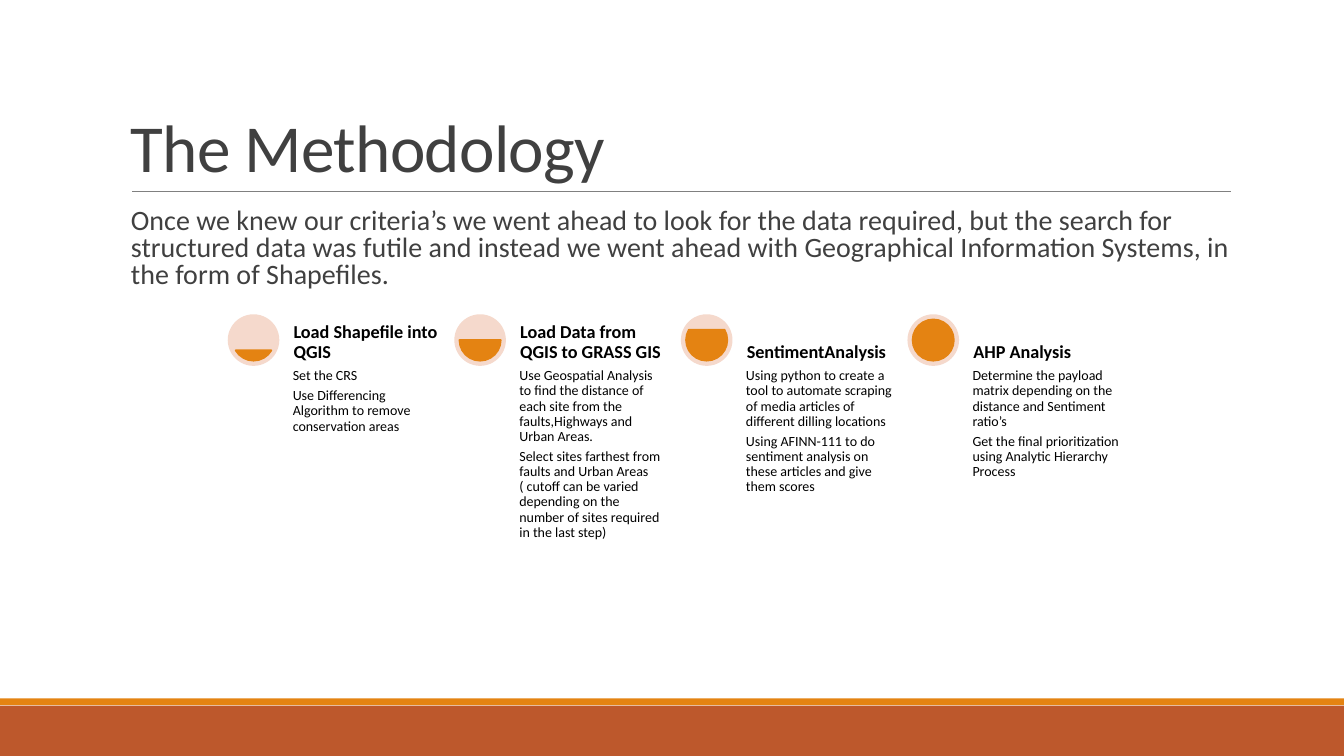
"""Builds the methodology slide with four progress steps."""
import math

from lxml import etree
from pptx import Presentation
from pptx import util as u
from pptx.dml.color import RGBColor
from pptx.enum import shapes, text
from pptx.oxml.ns import qn

COLOURS = {
    "rust": "BD582C", "orange": "E48312", "blush": "F5D9CC",
    "rule": "808080", "grey": "404040", "black": "000000",
}
FONT = "Calibri"
INTRO = (
    "Once we knew our criteria’s we went ahead to look for the data required, "
    "but the search for structured data was futile and instead we went ahead with "
    "Geographical Information Systems, in the form of Shapefiles."
)
STEPS = [
    ("Load Shapefile into QGIS", [
        "Set the CRS",
        "Use Differencing Algorithm to remove conservation areas"]),
    ("Load Data from QGIS to GRASS GIS", [
        "Use Geospatial Analysis to find the distance of each site from the "
        "faults,Highways and Urban Areas.",
        "Select sites farthest from faults and Urban Areas ( cutoff can be varied "
        "depending on the number of sites required in the last step)"]),
    ("SentimentAnalysis", [
        "Using python to create a tool to automate scraping of media articles of "
        "different dilling locations",
        "Using AFINN-111 to do sentiment analysis on these articles and give them scores"]),
    ("AHP Analysis", [
        "Determine the payload matrix depending on the distance and Sentiment ratio’s",
        "Get the final prioritization using Analytic Hierarchy Process"]),
]
STEP_LEFT, STEP_TOP, STEP_PITCH = 5.74, 7.92, 5.71
DISC, RING = 1.3, 0.13
TEXT_OFFSET, TEXT_WIDTH, DETAIL_HEIGHT = 1.57, 3.86, 5.49


def colour(name):
    return RGBColor.from_string(COLOURS[name])


def write(box, paragraphs, size, tone, bold=False, spacing=0.9, after=0,
          anchor=text.MSO_ANCHOR.TOP, insets=(0.25, 0.13), tracking=None):
    """Fill a box with paragraphs that share one format."""
    frame = box.text_frame
    frame.word_wrap = True
    frame.auto_size = text.MSO_AUTO_SIZE.NONE
    frame.vertical_anchor = anchor
    frame.margin_left = frame.margin_right = u.Cm(insets[0])
    frame.margin_top = frame.margin_bottom = u.Cm(insets[1])
    for index, words in enumerate(paragraphs):
        para = frame.add_paragraph() if index else frame.paragraphs[0]
        para.alignment = text.PP_ALIGN.LEFT
        para.line_spacing = spacing
        para.space_before = u.Pt(0)
        para.space_after = u.Pt(after)
        span = para.add_run()
        span.text = words
        span.font.name = FONT
        span.font.size = u.Pt(size)
        span.font.bold = bold
        span.font.color.rgb = colour(tone)
        if tracking is not None:
            span.font._element.set("spc", str(tracking))


def add_text(page, left, top, width, height, paragraphs, **style):
    box = page.shapes.add_textbox(u.Cm(left), u.Cm(top), u.Cm(width), u.Cm(height))
    write(box, paragraphs, **style)


def add_filled(page, kind, left, top, width, height, tone, outline=None):
    shape = page.shapes.add_shape(kind, u.Cm(left), u.Cm(top), u.Cm(width), u.Cm(height))
    shape.shadow.inherit = False
    shape.fill.solid()
    shape.fill.fore_color.rgb = colour(tone)
    if outline:
        shape.line.color.rgb = colour(tone)
        shape.line.width = u.Pt(outline)
    else:
        shape.line.fill.background()
    return shape


def add_rule(page, left, right, top):
    rule = page.shapes.add_connector(
        shapes.MSO_CONNECTOR.STRAIGHT, u.Cm(left), u.Cm(top), u.Cm(right), u.Cm(top))
    rule.line.color.rgb = colour("rule")
    rule.line.width = u.Pt(0.5)
    etree.SubElement(rule._element.spPr, qn("a:effectLst"))


def add_gauge(page, left, top, share):
    """Draw a disc filled from the bottom up to the given share."""
    add_filled(page, shapes.MSO_SHAPE.OVAL, left, top, DISC, DISC, "blush")
    inner = DISC - 2 * RING
    level = add_filled(page, shapes.MSO_SHAPE.CHORD, left + RING, top + RING,
                       inner, inner, "orange", outline=1.25)
    angle = round(math.degrees(math.asin(1 - 2 * share)))
    level.adjustments[0] = angle % 360 * 0.6
    level.adjustments[1] = (180 - angle) * 0.6


def add_step(page, left, share, heading, details):
    add_gauge(page, left, STEP_TOP, share)
    text_left = left + TEXT_OFFSET
    add_text(page, text_left, STEP_TOP + DISC, TEXT_WIDTH, DETAIL_HEIGHT, details,
             size=10, tone="black", after=3.5, insets=(0.07, 0.07))
    add_text(page, text_left, STEP_TOP, TEXT_WIDTH, DISC, [heading], size=13,
             tone="black", bold=True, anchor=text.MSO_ANCHOR.BOTTOM, insets=(0.09, 0.09))


def add_title(page, words):
    title = page.shapes.title
    title.left, title.top = u.Cm(3.05), u.Cm(0.79)
    title.width, title.height = u.Cm(27.94), u.Cm(4.04)
    write(title, [words], size=48, tone="grey", spacing=0.85,
          anchor=text.MSO_ANCHOR.BOTTOM, tracking=-50)


def main():
    deck = Presentation()
    deck.slide_width, deck.slide_height = u.Cm(33.87), u.Cm(19.05)
    page = deck.slides.add_slide(deck.slide_layouts[5])
    add_filled(page, shapes.MSO_SHAPE.RECTANGLE, 0, 17.78, 33.87, 1.27, "rust")
    add_filled(page, shapes.MSO_SHAPE.RECTANGLE, 0, 17.6, 33.87, 0.17, "orange")
    add_rule(page, 3.33, 31.01, 4.83)
    add_title(page, "The Methodology")
    add_text(page, 3.3, 5.13, 27.69, 2.49, [INTRO], size=20, tone="grey",
             spacing=0.8, after=2, insets=(0, 0.13))
    for index, (heading, details) in enumerate(STEPS):
        add_step(page, STEP_LEFT + index * STEP_PITCH, (index + 1) / len(STEPS),
                 heading, details)
    deck.save("out.pptx")


if __name__ == "__main__":
    main()
